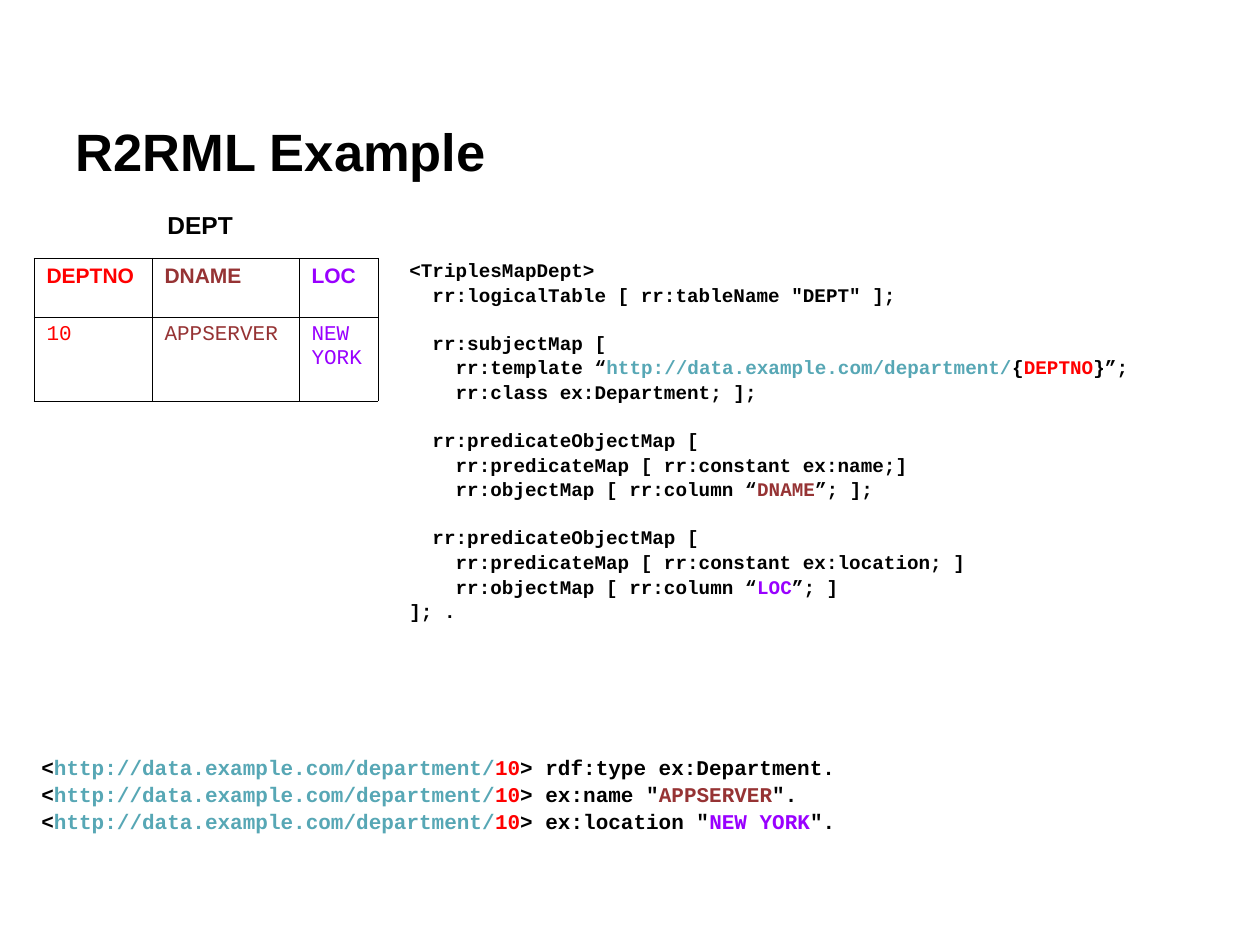
"""Build the R2RML example slide: a table, its mapping and the resulting triples."""
from lxml import etree
from pptx import Presentation, util as u
from pptx.dml.color import RGBColor
from pptx.enum import text
from pptx.oxml.ns import qn

THEME = {
    "ink": "000000", "key": "FF0000", "name": "963334", "loc": "9900FF", "url": "57A7B5",
    "sans": "Arial", "mono": "Courier New",
    "title": 30, "label": 14, "triples": 12, "code": 11, "cell": 12,
    "leading": 1.07, "border": 0.34,
}
URL = ("http://data.example.com/department/", "url")


def px(n):
    return u.Emu(round(n * 914400 / 126))


def add_runs(p, runs, font, size, bold=True):
    for words, color in runs:
        r = p.add_run()
        r.text = words
        r.font.name = THEME[font]
        r.font.size = u.Pt(THEME[size])
        r.font.bold = bold
        r.font.color.rgb = RGBColor.from_string(THEME[color])


prs = Presentation()
prs.slide_width, prs.slide_height = px(1260), px(945)
s = prs.slides.add_slide(prs.slide_layouts[5])

title = s.shapes.title
title.left, title.top, title.width, title.height = px(63), px(38), px(1134), px(157)
tf = title.text_frame
tf.auto_size = text.MSO_AUTO_SIZE.NONE
tf.vertical_anchor = text.MSO_ANCHOR.BOTTOM
tf.margin_left = tf.margin_right = tf.margin_top = tf.margin_bottom = u.Inches(0.1)
tf.paragraphs[0].alignment = text.PP_ALIGN.LEFT
add_runs(tf.paragraphs[0], [("R2RML Example", "ink")], "sans", "title")

columns = [
    (118, "key", "DEPTNO", "10"),
    (147, "name", "DNAME", "APPSERVER"),
    (79, "loc", "LOC", "NEW YORK"),
]
row_heights = [59, 84]
frame = s.shapes.add_table(2, 3, px(34), px(258), px(344), px(sum(row_heights)))
table = frame.table
table.first_row = table.horz_banding = False
for row, height in zip(table.rows, row_heights):
    row.height = px(height)
for c, (width, color, heading, value) in enumerate(columns):
    table.columns[c].width = px(width)
    for r, (words, font, bold) in enumerate([(heading, "sans", True), (value, "mono", False)]):
        cell = table.cell(r, c)
        add_runs(cell.text_frame.paragraphs[0], [(words, color)], font, "cell", bold)
        tc_pr = cell._tc.get_or_add_tcPr()
        for side in ("a:lnL", "a:lnR", "a:lnT", "a:lnB"):
            ln = etree.SubElement(tc_pr, qn(side), w=str(u.Pt(THEME["border"])))
            fill = etree.SubElement(ln, qn("a:solidFill"))
            etree.SubElement(fill, qn("a:srgbClr"), val=THEME["ink"])
        cell.fill.background()

triples = [
    [("<", "ink"), URL, ("10", "key"), *rest]
    for rest in (
        [("> rdf:type ex:Department.", "ink")],
        [('> ex:name "', "ink"), ("APPSERVER", "name"), ('".', "ink")],
        [('> ex:location "', "ink"), ("NEW YORK", "loc"), ('".', "ink")],
    )
]
mapping = [
    [
        [("<TriplesMapDept>", "ink")],
        [('  rr:logicalTable [ rr:tableName "DEPT" ];', "ink")],
    ],
    [
        [("  rr:subjectMap [", "ink")],
        [("    rr:template “", "ink"), URL, ("{", "ink"), ("DEPTNO", "key"), ("}”;", "ink")],
        [("    rr:class ex:Department; ];", "ink")],
    ],
    [
        [("  rr:predicateObjectMap [", "ink")],
        [("    rr:predicateMap [ rr:constant ex:name;]", "ink")],
        [("    rr:objectMap [ rr:column “", "ink"), ("DNAME", "name"), ("”; ];", "ink")],
    ],
    [
        [("  rr:predicateObjectMap [", "ink")],
        [("    rr:predicateMap [ rr:constant ex:location; ]", "ink")],
        [("    rr:objectMap [ rr:column “", "ink"), ("LOC", "loc"), ("”; ]", "ink")],
        [("]; .", "ink")],
    ],
]
boxes = [
    ((29, 740, 1184, 171), "mono", "triples", [triples]),
    ((155, 195, 102, 49), "sans", "label", [[[("DEPT", "ink")]]]),
    ((397, 244, 816, 479), "mono", "code", mapping),
]
for place, font, size, blocks in boxes:
    sp = s.shapes.add_textbox(*map(px, place))
    tf = sp.text_frame
    tf.word_wrap = True
    tf.margin_left = tf.margin_right = tf.margin_top = tf.margin_bottom = u.Inches(0.1)
    for b, block in enumerate(blocks):
        for i, runs in enumerate(block):
            first = b == 0 and i == 0
            p = tf.paragraphs[0] if first else tf.add_paragraph()
            p.line_spacing = THEME["leading"]
            if b and i == 0:
                p.space_before = u.Pt(13.3)
            add_runs(p, runs, font, size)

prs.save("out.pptx")
